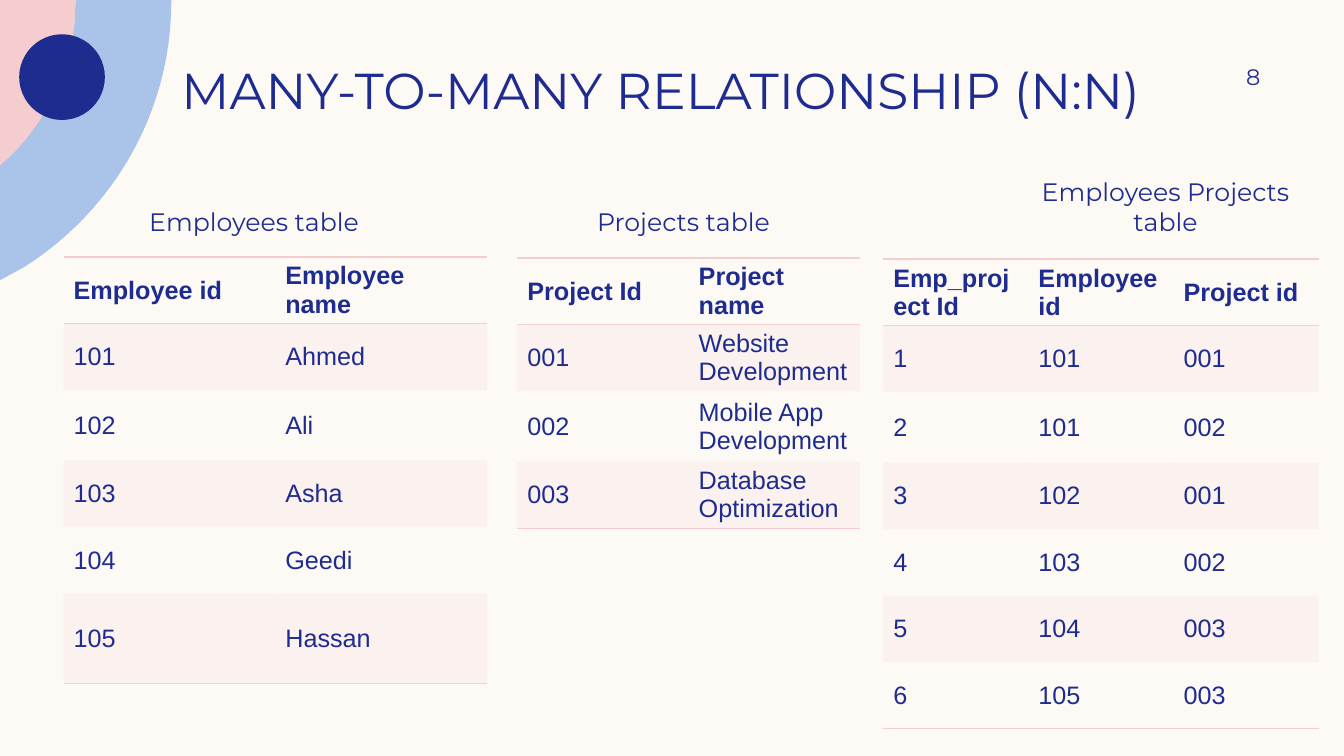
from dataclasses import dataclass

from lxml import etree
from pptx import Presentation
from pptx.dml.color import RGBColor
from pptx.enum.shapes import MSO_SHAPE
from pptx.enum.text import MSO_ANCHOR, MSO_AUTO_SIZE, PP_ALIGN
from pptx.oxml.ns import qn
from pptx.util import Pt

PX = 9144
CURVE_STEPS = 24
PLAIN_TABLE_STYLE = "{2D5ABB26-0587-4C30-8999-92F81FD0307C}"
OVAL = MSO_SHAPE.OVAL
BOTTOM, MIDDLE = MSO_ANCHOR.BOTTOM, MSO_ANCHOR.MIDDLE
LEFT, CENTER, RIGHT = PP_ALIGN.LEFT, PP_ALIGN.CENTER, PP_ALIGN.RIGHT
NO_AUTOFIT = MSO_AUTO_SIZE.NONE


@dataclass(frozen=True)
class Theme:
    background: str = "FDFAF6"
    navy: str = "1F2C8F"
    blue: str = "AAC3E8"
    pink: str = "F5CDCE"
    band_alpha: int = 20
    display_font: str = "Montserrat"
    table_font: str = "Arial"
    title_size: int = 36
    body_size: int = 18
    number_size: int = 16
    rule_width: int = 1


THEME = Theme()

EMPLOYEES = [
    ("Employee id", "Employee name"),
    ("101", "Ahmed"),
    ("102", "Ali"),
    ("103", "Asha"),
    ("104", "Geedi"),
    ("105", "Hassan"),
]
PROJECTS = [
    ("Project Id", "Project name"),
    ("001", "Website Development"),
    ("002", "Mobile App Development"),
    ("003", "Database Optimization"),
]
EMPLOYEE_PROJECTS = [
    ("Emp_project Id", "Employee id", "Project id"),
    ("1", "101", "001"),
    ("2", "101", "002"),
    ("3", "102", "001"),
    ("4", "103", "002"),
    ("5", "104", "003"),
    ("6", "105", "003"),
]


def emu(lengths):
    return [round(length * PX) for length in lengths]


def color(value):
    return RGBColor.from_string(value)


def paint(shape, value):
    shape.fill.solid()
    shape.fill.fore_color.rgb = color(value)
    shape.line.fill.background()
    shape.shadow.inherit = False


def add_run(paragraph, text, size, font_name, bold=False):
    run = paragraph.add_run()
    run.text = text
    run.font.size = Pt(size)
    run.font.name = font_name
    run.font.bold = bold
    run.font.color.rgb = color(THEME.navy)


def fill_text(shape, text, size, align, anchor, insets):
    frame = shape.text_frame
    frame.word_wrap = True
    frame.auto_size = NO_AUTOFIT
    frame.vertical_anchor = anchor
    (frame.margin_left, frame.margin_top,
     frame.margin_right, frame.margin_bottom) = emu(insets)
    paragraph = frame.paragraphs[0]
    paragraph.alignment = align
    add_run(paragraph, text, size, THEME.display_font)


def curve(start, first, second, end):
    points = []
    for step in range(1, CURVE_STEPS + 1):
        t = step / CURVE_STEPS
        weights = ((1 - t) ** 3, 3 * t * (1 - t) ** 2, 3 * t * t * (1 - t), t ** 3)
        points.append(tuple(
            sum(weight * value for weight, value in zip(weights, axis))
            for axis in zip(start, first, second, end)
        ))
    return points


def add_outline(slide, points, value):
    start, *rest = [emu(point) for point in points]
    builder = slide.shapes.build_freeform(*start, scale=1)
    builder.add_line_segments(rest, close=True)
    paint(builder.convert_to_shape(), value)


def add_corner_rings(slide, box):
    left, top, dot_size = box
    inner = [(75, 0), (74, 22),
             *curve((74, 22), (68, 73), (46, 119), (11, 154)), (0, 164)]
    outer = [(170, 0), (170, 1),
             *curve((170, 1), (170, 112), (112, 209), (24, 265)), (0, 278)]
    for points, value in ((outer + inner[::-1], THEME.blue),
                          ([(0, 0)] + inner, THEME.pink)):
        add_outline(slide, [(left + x, top + y) for x, y in points], value)
    dot = slide.shapes.add_shape(
        OVAL, *emu((left + 19, top + 34, dot_size, dot_size)))
    paint(dot, THEME.navy)


def add_title(slide, box, text):
    title = slide.shapes.title
    title.left, title.top, title.width, title.height = emu(box)
    fill_text(title, text, THEME.title_size, LEFT, BOTTOM, (10, 0, 10, 0))


def add_label(slide, box, text, size, align, anchor, insets):
    label = slide.shapes.add_textbox(*emu(box))
    fill_text(label, text, size, align, anchor, insets)


def add_rule(properties, side):
    line = etree.Element(qn(f"a:{side}"), w=str(Pt(THEME.rule_width)))
    fill = etree.SubElement(line, qn("a:solidFill"))
    etree.SubElement(fill, qn("a:srgbClr"), val=THEME.pink)
    properties.insert(0, line)


def format_cell(cell, element, text, row, last_row):
    cell.vertical_anchor = MIDDLE
    add_run(cell.text_frame.paragraphs[0], text, THEME.body_size,
            THEME.table_font, bold=row == 0)
    if row % 2:
        cell.fill.solid()
        cell.fill.fore_color.rgb = color(THEME.pink)
        for swatch in element.iter(qn("a:srgbClr")):
            if swatch.get("val") == THEME.pink:
                etree.SubElement(swatch, qn("a:alpha"), val=str(THEME.band_alpha * 1000))
    else:
        cell.fill.background()
    properties = element.find(qn("a:tcPr"))
    if row in (0, last_row):
        add_rule(properties, "lnB")
    if row == 0:
        add_rule(properties, "lnT")


def add_data_table(slide, box, rows, row_heights):
    left, top, column_width = box
    column_count = len(rows[0])
    frame = slide.shapes.add_table(
        len(rows), column_count,
        *emu((left, top, column_width * column_count, sum(row_heights))))
    for style in frame.element.iter(qn("a:tableStyleId")):
        style.text = PLAIN_TABLE_STYLE
    table = frame.table
    for column in table.columns:
        column.width = column_width * PX
    for row, height in zip(table.rows, row_heights):
        row.height = height * PX
    elements = frame.element.iter(qn("a:tc"))
    for index, values in enumerate(rows):
        for column, text in enumerate(values):
            format_cell(table.cell(index, column), next(elements), text,
                        index, len(rows) - 1)


def build_slide(presentation):
    slide = presentation.slides.add_slide(presentation.slide_layouts[5])
    slide.background.fill.solid()
    slide.background.fill.fore_color.rgb = color(THEME.background)
    add_corner_rings(slide, (0, 0, 85))
    add_title(slide, (170, 12, 1080, 107), "MANY-TO-MANY RELATIONSHIP (N:N)")
    add_label(slide, (1133, 50, 117, 52), "8", THEME.number_size,
              RIGHT, MIDDLE, (10, 5, 0, 5))
    sections = (
        ("Employees table", 100, (63, 255, 210), EMPLOYEES, (66, 66, 70, 66, 66, 89)),
        ("Projects table", 526, (513, 256, 170), PROJECTS, (66, 66, 70, 66)),
        ("Employees Projects table", 1004, (876, 257, 144), EMPLOYEE_PROJECTS,
         (66, 66, 70, 66, 66, 66, 66)),
    )
    for caption, caption_left, box, rows, row_heights in sections:
        add_label(slide, (caption_left, 165, 304, 70), caption, THEME.body_size,
                  CENTER, BOTTOM, (10, 0, 10, 0))
        add_data_table(slide, box, rows, row_heights)


def main():
    presentation = Presentation()
    presentation.slide_width, presentation.slide_height = emu((1333, 750))
    build_slide(presentation)
    presentation.save("out.pptx")


if __name__ == "__main__":
    main()
